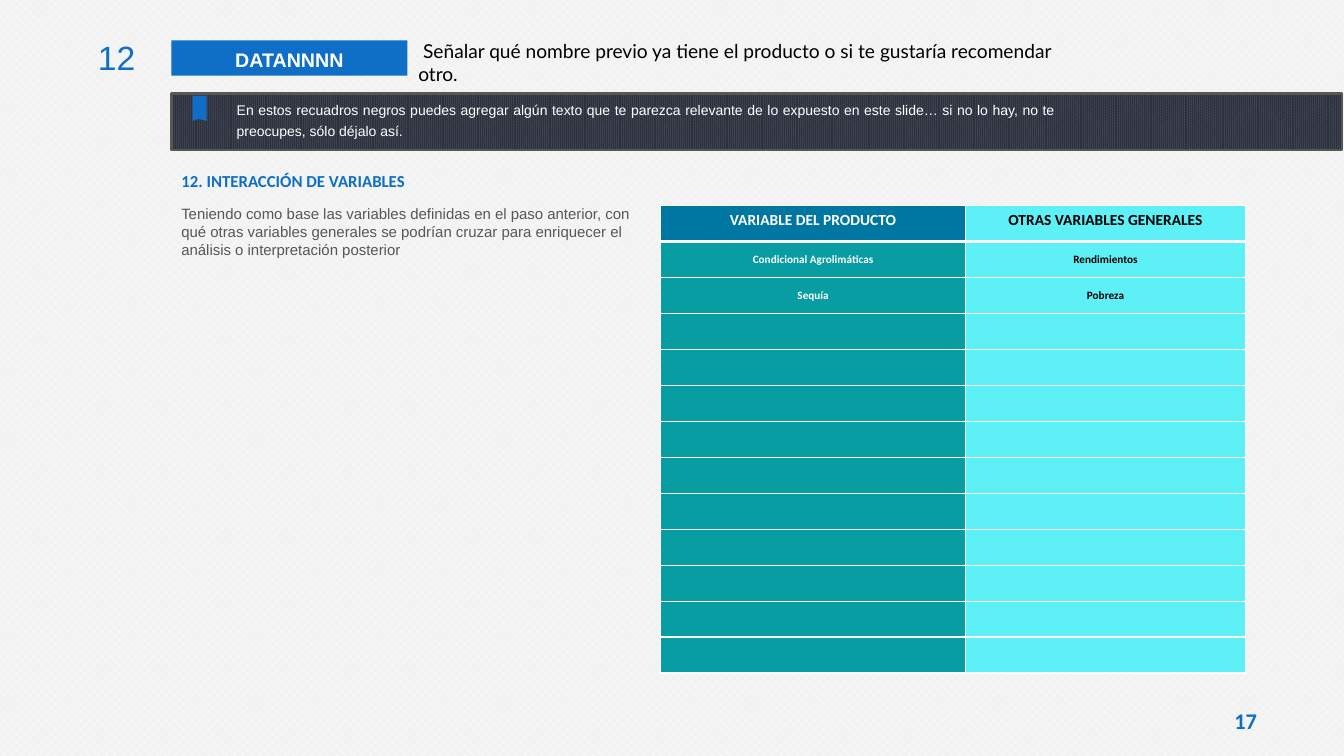
from dataclasses import dataclass

from lxml.etree import SubElement
from pptx import Presentation
from pptx.dml.color import RGBColor
from pptx.enum.dml import MSO_PATTERN
from pptx.enum.shapes import MSO_SHAPE
from pptx.enum.text import MSO_ANCHOR, PP_ALIGN
from pptx.oxml.ns import qn
from pptx.util import Inches, Pt


@dataclass(frozen=True)
class Theme:
    blue: str = "0F6FC6"
    white: str = "FFFFFF"
    black: str = "000000"
    gray: str = "575756"
    paper: str = "F2F2F2"
    banner_dark: str = "2D313C"
    banner_light: str = "444A5A"
    header_blue: str = "0076A3"
    teal: str = "089CA3"
    cyan: str = "5EF0F7"
    sans: str = "Arial"
    label: str = "Calibri"
    prompt: str = "Lato"
    number_size: float = 24
    page_size: float = 16
    tag_size: float = 14
    prompt_size: float = 13.7
    heading_size: float = 12
    header_size: float = 11
    body_size: float = 10.7
    banner_size: float = 10
    cell_size: float = 8


THEME = Theme()
VARIABLES = [("Condicional Agrolimáticas", "Rendimientos"), ("Sequía", "Pobreza")]
ROW_COUNT = 13


def rgb(color):
    return RGBColor.from_string(color)


def set_pattern(fill, preset, front, back):
    fill.patterned()
    fill.pattern = MSO_PATTERN.from_xml(preset)
    fill.fore_color.rgb = rgb(front)
    fill.back_color.rgb = rgb(back)


def write(text_frame, text, size, font, color, bold=False,
          align=PP_ALIGN.LEFT, spacing=None):
    text_frame.text = text
    paragraph = text_frame.paragraphs[0]
    paragraph.alignment = align
    paragraph.line_spacing = spacing
    for run in paragraph.runs:
        run.font.size = Pt(size)
        run.font.name = font
        run.font.bold = bold
        run.font.color.rgb = rgb(color)


def add_text(slide, box, *style, anchor=MSO_ANCHOR.TOP, **options):
    text_frame = slide.shapes.add_textbox(*map(Inches, box)).text_frame
    text_frame.word_wrap = True
    text_frame.vertical_anchor = anchor
    write(text_frame, *style, **options)
    return text_frame


def add_rectangle(slide, box):
    shape = slide.shapes.add_shape(MSO_SHAPE.RECTANGLE, *map(Inches, box))
    shape.shadow.inherit = False
    return shape


def add_title_row(slide, left, top):
    # Step number
    add_text(slide, (left, top, 0.66, 0.5), "12", THEME.number_size,
             THEME.sans, THEME.blue, align=PP_ALIGN.RIGHT)
    # Blue tag
    tag = add_rectangle(slide, (left + 0.92, top + 0.08, 2.34, 0.35))
    tag.fill.solid()
    tag.fill.fore_color.rgb = rgb(THEME.blue)
    tag.line.fill.background()
    tag.text_frame.vertical_anchor = MSO_ANCHOR.TOP
    write(tag.text_frame, "DATANNNN", THEME.tag_size, THEME.sans, THEME.white,
          bold=True, align=PP_ALIGN.CENTER, spacing=1.1)
    # Prompt
    add_text(slide, (left + 3.27, top + 0.02, 6.65, 0.56),
             " Señalar qué nombre previo ya tiene el producto o si te gustaría "
             "recomendar otro.", THEME.prompt_size, THEME.prompt, THEME.black,
             anchor=MSO_ANCHOR.MIDDLE)


def add_banner(slide, left, top, width, height):
    # Dark strip
    strip = add_rectangle(slide, (left, top, width, height))
    set_pattern(strip.fill, "pct90", THEME.banner_dark, THEME.banner_light)
    strip.line.color.rgb = rgb(THEME.gray)
    strip.line.width = Pt(2)
    # Bookmark ribbon
    ribbon_left, ribbon_top = left + 0.21, top + 0.02
    corners = [(ribbon_left + x, ribbon_top + y) for x, y in
               [(0.14, 0), (0.14, 0.25), (0.06, 0.23), (0, 0.25), (0, 0)]]
    points = [(Inches(x), Inches(y)) for x, y in corners]
    builder = slide.shapes.build_freeform(*points[0])
    builder.add_line_segments(points[1:], close=True)
    ribbon = builder.convert_to_shape()
    ribbon.shadow.inherit = False
    ribbon.fill.solid()
    ribbon.fill.fore_color.rgb = rgb(THEME.blue)
    ribbon.line.fill.background()
    # Note
    add_text(slide, (left + 0.55, top, 8.3, height),
             "En estos recuadros negros puedes agregar algún texto que te parezca "
             "relevante de lo expuesto en este slide… si no lo hay, no te "
             "preocupes, sólo déjalo así.", THEME.banner_size, THEME.sans,
             THEME.white, align=PP_ALIGN.JUSTIFY, spacing=1.2)


def add_instructions(slide, left, top):
    add_text(slide, (left, top, 4.96, 0.3), "12. INTERACCIÓN DE VARIABLES",
             THEME.heading_size, THEME.label, THEME.blue, bold=True)
    body = add_text(slide, (left, top + 0.34, 4.67, 0.64),
                    "Teniendo como base las variables definidas en el paso "
                    "anterior, con qué otras variables generales se podrían "
                    "cruzar para enriquecer el análisis o interpretación "
                    "posterior", THEME.body_size, THEME.sans, THEME.gray)
    body.paragraphs[0].space_after = Pt(6)


def set_borders(cell, top, bottom):
    properties = cell._tc.get_or_add_tcPr()
    widths = {"a:lnL": 1, "a:lnR": 1, "a:lnT": top, "a:lnB": bottom}
    for index, (tag, width) in enumerate(widths.items()):
        line = SubElement(properties, qn(tag), w=str(Pt(width)))
        properties.insert(index, line)
        fill = SubElement(line, qn("a:solidFill"))
        SubElement(fill, qn("a:srgbClr"), val=THEME.white)


def add_variable_table(slide, left, top, width, height):
    frame = slide.shapes.add_table(ROW_COUNT, 2, Inches(left), Inches(top),
                                   Inches(width), Inches(height))
    table = frame.table
    for column, share in zip(table.columns, (3.03, 2.77)):
        column.width = Inches(share)
    texts = [("VARIABLE DEL PRODUCTO", "OTRAS VARIABLES GENERALES"), *VARIABLES]
    texts += [("", "")] * (ROW_COUNT - len(texts))
    # Line widths from the top edge down: thick under the header
    rules = [1, 3] + [1] * (ROW_COUNT - 3) + [2, 1]
    for row, pair in enumerate(texts):
        header = row == 0
        fills = (THEME.header_blue if header else THEME.teal, THEME.cyan)
        size = THEME.header_size if header else THEME.cell_size
        for column, text in enumerate(pair):
            cell = table.cell(row, column)
            cell.fill.solid()
            cell.fill.fore_color.rgb = rgb(fills[column])
            set_borders(cell, rules[row], rules[row + 1])
            if not header:
                cell.vertical_anchor = MSO_ANCHOR.MIDDLE
                cell.margin_left = cell.margin_right = 0
                cell.margin_top = cell.margin_bottom = 0
            write(cell.text_frame, text, size, THEME.label,
                  (THEME.white, THEME.black)[column], bold=True,
                  align=PP_ALIGN.CENTER)


def add_page_number(slide, left, top, width, height):
    text_frame = add_text(slide, (left, top, width, height), "17",
                          THEME.page_size, THEME.label, THEME.blue, bold=True,
                          align=PP_ALIGN.CENTER)
    text_frame.margin_left = text_frame.margin_right = Inches(0.05)
    text_frame.margin_top = text_frame.margin_bottom = Inches(0.02)


def main():
    presentation = Presentation()
    presentation.slide_width = Inches(13.33)
    presentation.slide_height = Inches(7.5)
    slide = presentation.slides.add_slide(presentation.slide_layouts[6])
    set_pattern(slide.background.fill, "pct40", THEME.white, THEME.paper)
    add_title_row(slide, 0.78, 0.32)
    add_banner(slide, 1.7, 0.93, 11.61, 0.56)
    add_instructions(slide, 1.7, 1.64)
    add_variable_table(slide, 6.55, 2.04, 5.8, 4.64)
    add_page_number(slide, 12.05, 7, 0.61, 0.33)
    presentation.save("out.pptx")


if __name__ == "__main__":
    main()
